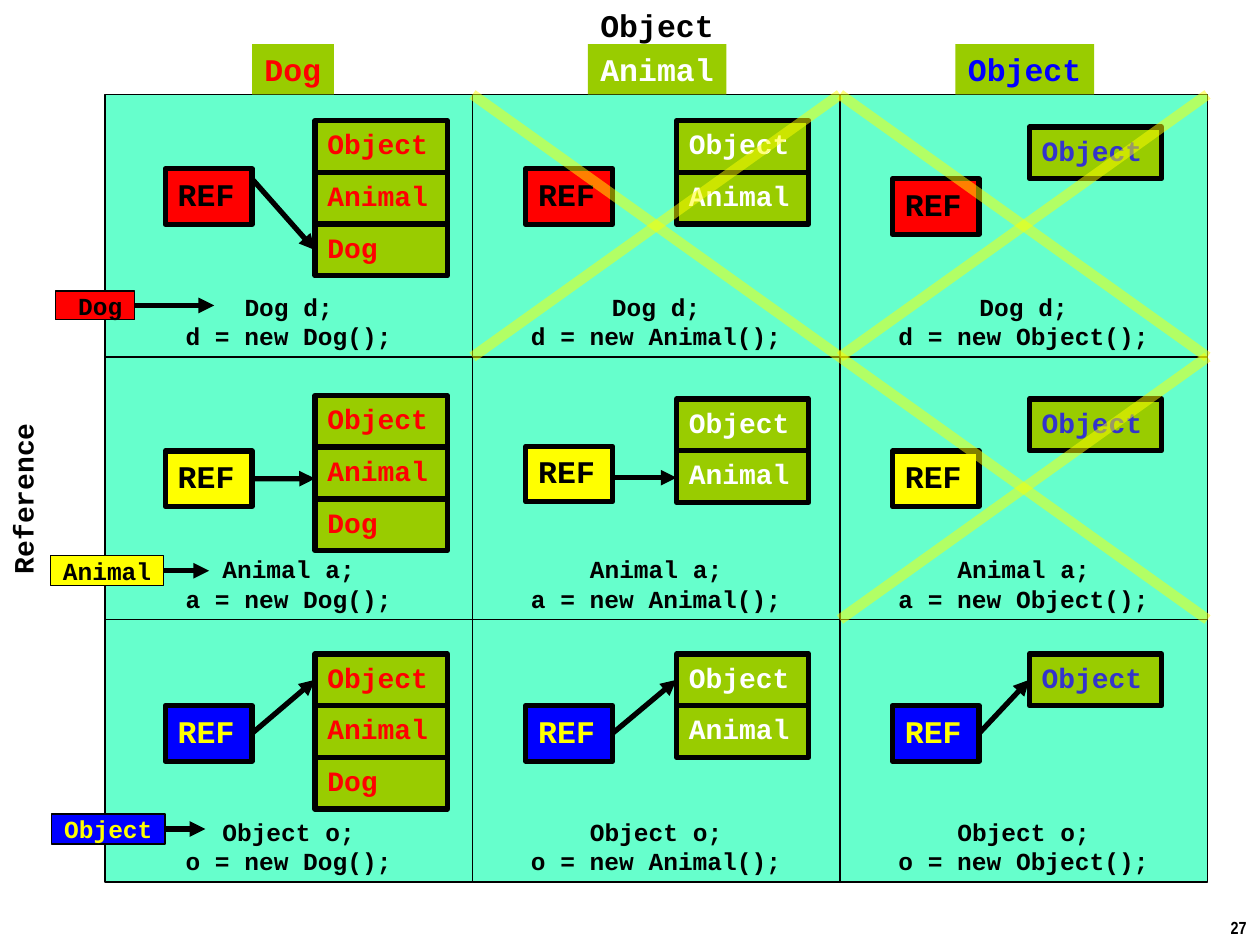
from lxml.etree import SubElement
from pptx import Presentation
from pptx.dml.color import RGBColor
from pptx.enum.shapes import MSO_CONNECTOR as Conn, MSO_SHAPE as Shape
from pptx.enum.text import MSO_ANCHOR as Anchor, PP_ALIGN as Align
from pptx.oxml.ns import qn
from pptx.util import Pt

THEME = {
    "code": "Courier New", "number": "Arial Narrow",
    "cell": "66FFCC", "box": "99CC00", "black": "000000", "white": "FFFFFF",
    "red": "FF0000", "yellow": "FFFF00", "blue": "0000FF", "violet": "3333CC",
    "head": 18, "part": 16, "label": 14, "page": 10,
    "thin": 0.75, "thick": 3, "cross": 6,
}

COLUMNS = [
    {"name": "Dog", "head": (144, 46.8), "head_ink": "red", "ink": "red",
     "parts": ["Object", "Animal", "Dog"], "stack_x": 180, "ref_x": 94.5},
    {"name": "Animal", "head": (336, 79.2), "head_ink": "white", "ink": "white",
     "parts": ["Object", "Animal"], "stack_x": 386.6, "ref_x": 300.5},
    {"name": "Object", "head": (546, 79.2), "head_ink": "blue", "ink": "violet",
     "parts": ["Object"], "stack_x": 588.2, "ref_x": 510},
]
ROWS = [
    {"name": "Dog", "var": "d", "fill": "red", "ink": "black",
     "tag": (31.7, 166.3, 45.4, 16.5), "tip": 122.4,
     "stack_y": (69, 69, 72.6), "ref_y": (96.5, 96.5, 102.2)},
    {"name": "Animal", "var": "a", "fill": "yellow", "ink": "black",
     "tag": (28.8, 317.5, 64.8, 17.3), "tip": 119.5,
     "stack_y": (226, 228, 228), "ref_y": (257.7, 255, 257.7)},
    {"name": "Object", "var": "o", "fill": "blue", "ink": "yellow",
     "tag": (29.5, 465.1, 64.8, 17.3), "tip": 117.4,
     "stack_y": (373.7,) * 3, "ref_y": (403.2,) * 3},
]
INVALID = [(0, 1), (0, 2), (1, 2)]
ARROWS = [
    {"cell": (0, 0), "part": 2, "start_y": 102.2, "joins": "end"},
    {"cell": (1, 0), "part": 1, "end_y": 273.5, "joins": "begin"},
    {"cell": (1, 1), "part": 1, "start_y": 273, "end_y": 273, "joins": ""},
    *({"cell": (2, c), "part": 0, "joins": "begin end"} for c in range(3)),
]
GRID_X, GRID_Y, CELL_W, CELL_H = 60, 54, 210, 150
PART_W, PART_H = 75.6, 29.55
REF_W, REF_H = 49.5, 31.8


def colour(name):
    return RGBColor.from_string(THEME[name])


def write(sp, text, size, ink, align=Align.LEFT, anchor=Anchor.TOP, font="code"):
    tf = sp.text_frame
    tf.word_wrap = False
    tf.vertical_anchor = anchor
    tf.text = text
    for p in tf.paragraphs:
        p.alignment = align
        for r in p.runs:
            r.font.name = THEME[font]
            r.font.size = Pt(THEME[size])
            r.font.bold = True
            r.font.color.rgb = colour(ink)


def box(shapes, x, y, w, h, fill, line=None):
    sp = shapes.add_shape(Shape.RECTANGLE, Pt(x), Pt(y), Pt(w), Pt(h))
    sp.shadow.inherit = False
    sp.fill.solid()
    sp.fill.fore_color.rgb = colour(fill)
    if line:
        sp.line.color.rgb = colour("black")
        sp.line.width = Pt(THEME[line])
    else:
        sp.line.fill.background()
    return sp


def label(shapes, x, y, w, h, *args, **kwargs):
    sp = shapes.add_textbox(Pt(x), Pt(y), Pt(w), Pt(h))
    write(sp, *args, **kwargs)
    return sp


def line(shapes, x1, y1, x2, y2, ink, width):
    cn = shapes.add_connector(Conn.STRAIGHT, Pt(x1), Pt(y1), Pt(x2), Pt(y2))
    cn.line.color.rgb = colour(ink)
    cn.line.width = Pt(THEME[width])
    SubElement(cn._element.spPr, qn("a:effectLst"))
    return cn


def arrow(shapes, *ends):
    cn = line(shapes, *ends, "black", "thick")
    SubElement(cn.line._get_or_add_ln(), qn("a:tailEnd"), type="triangle")
    return cn


def cross(shapes, row, col):
    group = shapes.add_group_shape().shapes
    left, top = GRID_X + col * CELL_W, GRID_Y + row * CELL_H
    right, bottom = left + CELL_W, top + CELL_H
    for y1, y2 in ((top, bottom), (bottom, top)):
        cn = line(group, left, y1, right, y2, "yellow", "cross")
        rgb = cn._element.spPr.find(".//" + qn("a:srgbClr"))
        SubElement(rgb, qn("a:alpha"), val="50000")


def stack(shapes, column, y):
    parts = column["parts"]
    target = shapes.add_group_shape().shapes if len(parts) > 1 else shapes
    boxes = []
    for i, name in enumerate(parts):
        sp = box(target, column["stack_x"], y + i * PART_H, PART_W, PART_H, "box", "thick")
        write(sp, name, "part", column["ink"])
        boxes.append(sp)
    return boxes


def main():
    prs = Presentation()
    prs.slide_width, prs.slide_height = Pt(720), Pt(540)
    shapes = prs.slides.add_slide(prs.slide_layouts[6]).shapes
    cells = [(r, c) for r in range(len(ROWS)) for c in range(len(COLUMNS))]

    label(shapes, 695.5, 520.6, 24.5, 19.4, "27", "page", "black", Align.CENTER, font="number")
    for r, c in cells:
        row, column = ROWS[r], COLUMNS[c]
        sp = box(shapes, GRID_X + c * CELL_W, GRID_Y + r * CELL_H, CELL_W, CELL_H, "cell", "thin")
        code = f"{row['name']} {row['var']};\n{row['var']} = new {column['name']}();"
        write(sp, code, "label", "black", Align.CENTER, Anchor.BOTTOM)

    for column in COLUMNS:
        x, w = column["head"]
        sp = box(shapes, x, 25.2, w, 28.8, "box")
        write(sp, column["name"], "head", column["head_ink"])
    label(shapes, -37.4, 271.4, 100.8, 26.6, "Reference", "part", "black").rotation = 270
    label(shapes, 336, 0, 79.2, 28.8, "Object", "head", "black")

    stacks, refs = {}, {}
    for r, c in cells:
        row, column = ROWS[r], COLUMNS[c]
        stacks[r, c] = stack(shapes, column, row["stack_y"][c])
        sp = box(shapes, column["ref_x"], row["ref_y"][c], REF_W, REF_H, row["fill"], "thick")
        write(sp, "REF", "head", row["ink"])
        refs[r, c] = sp

    for a in ARROWS:
        column = COLUMNS[a["cell"][1]]
        cn = arrow(shapes, column["ref_x"] + REF_W, a.get("start_y", 0),
                   column["stack_x"], a.get("end_y", 0))
        if "begin" in a["joins"]:
            cn.begin_connect(refs[a["cell"]], 3)
        if "end" in a["joins"]:
            cn.end_connect(stacks[a["cell"]][a["part"]], 1)

    for r, c in INVALID:
        cross(shapes, r, c)

    for row in ROWS:
        group = shapes.add_group_shape().shapes
        x, y, w, h = row["tag"]
        sp = box(group, x, y, w, h, row["fill"], "thin")
        sp.text_frame.margin_top = sp.text_frame.margin_bottom = 0
        write(sp, row["name"], "label", row["ink"], Align.RIGHT)
        middle = y + h / 2
        arrow(group, x + w, middle, row["tip"], middle).begin_connect(sp, 3)

    prs.save("out.pptx")


if __name__ == "__main__":
    main()
